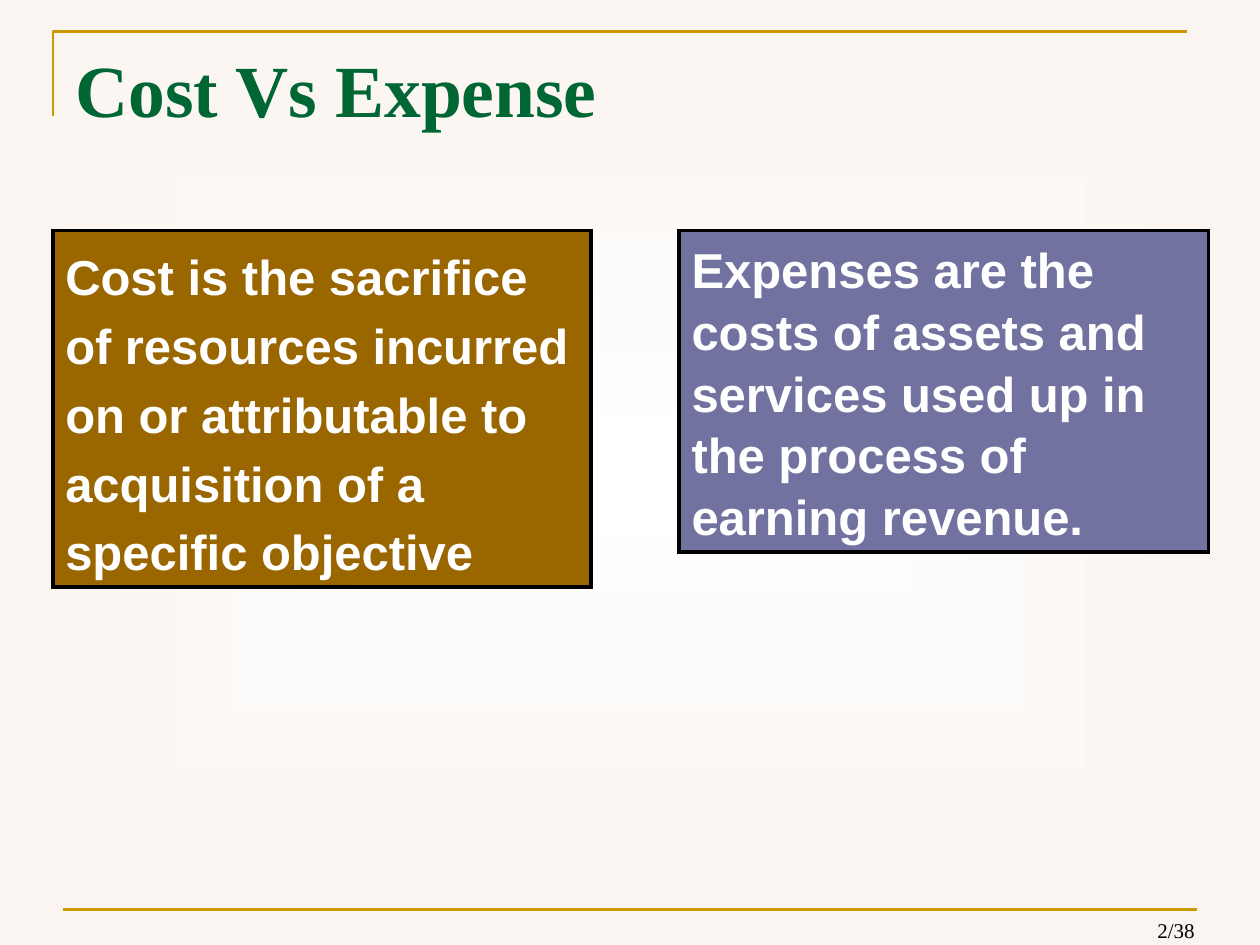
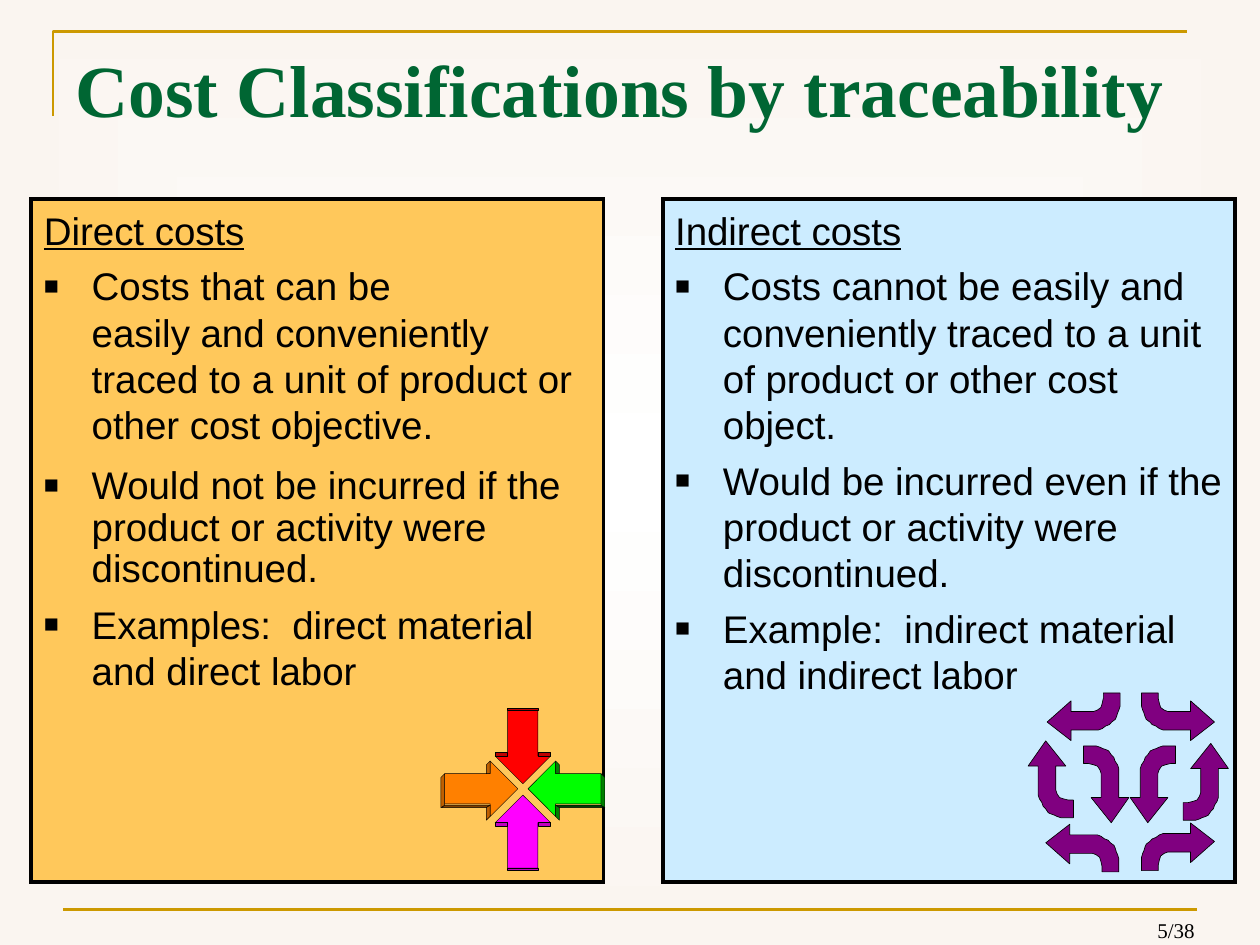
from lxml.etree import SubElement
from pptx import Presentation
from pptx.dml.color import RGBColor
from pptx.enum.shapes import MSO_CONNECTOR, MSO_SHAPE
from pptx.enum.text import MSO_ANCHOR, PP_ALIGN
from pptx.oxml.ns import qn
from pptx.util import Inches, Pt

WHITE = RGBColor(0xFF, 0xFF, 0xFF)
BLACK = RGBColor(0, 0, 0)
CREAM = RGBColor(0xFA, 0xF5, 0xF0)
GOLD = RGBColor(0xCC, 0x99, 0x00)
GREEN = RGBColor(0x00, 0x66, 0x33)
BROWN = RGBColor(0x99, 0x66, 0x00)
SLATE = RGBColor(0x72, 0x72, 0xA0)
AMBER = RGBColor(0xFF, 0xC8, 0x5B)
SKY = RGBColor(0xCC, 0xEC, 0xFF)
PURPLE = RGBColor(0x80, 0x00, 0x80)
PINK = RGBColor(0xFF, 0x00, 0xFF)
PLUM = RGBColor(0xC0, 0x00, 0xC0)
ORANGE = RGBColor(0xFF, 0x80, 0x00)
RUST = RGBColor(0xC0, 0x60, 0x00)
UMBER = RGBColor(0x80, 0x40, 0x00)
LIME = RGBColor(0x00, 0xFF, 0x00)
LEAF = RGBColor(0x00, 0x80, 0x00)
PINE = RGBColor(0x00, 0x40, 0x00)
RED = RGBColor(0xFF, 0x00, 0x00)
BLOOD = RGBColor(0xC0, 0x00, 0x00)


def draw(shapes, points, fill, line, width, close=True):
    dots = [(Inches(x), Inches(y)) for x, y in points]
    pen = shapes.build_freeform(*dots[0], scale=1.0)
    pen.add_line_segments(dots[1:], close=close)
    shape = pen.convert_to_shape()
    shape.shadow.inherit = False
    if fill is None:
        shape.fill.background()
    else:
        shape.fill.solid()
        shape.fill.fore_color.rgb = fill
    shape.line.color.rgb = line
    shape.line.width = Pt(width)


def write(para, text, size, face, color, bold=False, under=False):
    for i, part in enumerate(text.split("\n")):
        if i:
            para.add_line_break()
        run = para.add_run()
        run.text = part
        font = run.font
        font.size, font.name, font.bold, font.underline = Pt(size), face, bold, under
        font.color.rgb = color


deck = Presentation()
deck.slide_width, deck.slide_height = Inches(10), Inches(7.5)

pages = []
for title, page in (("Cost Vs Expense", "2/38"), ("Cost Classifications by traceability", "5/38")):
    slide = deck.slides.add_slide(deck.slide_layouts[6])
    pages.append(slide)
    back = slide.background.fill
    back.gradient()
    for stop, color, place in zip(back.gradient_stops, (WHITE, CREAM), (0, 1)):
        stop.color.rgb = color
        stop.position = place
    grad = slide.element.find(".//" + qn("a:gradFill"))
    grad.remove(grad.find(qn("a:lin")))
    path = SubElement(grad, qn("a:path"), path="rect")
    SubElement(path, qn("a:fillToRect"), l="50000", t="50000", r="50000", b="50000")

    draw(slide.shapes, [(0.42, 0.92), (0.42, 0.25), (9.42, 0.25)], None, GOLD, 1.5, False)
    rule = slide.shapes.add_connector(
        MSO_CONNECTOR.STRAIGHT, Inches(0.5), Inches(7.22), Inches(9.5), Inches(7.22))
    rule.line.color.rgb = GOLD
    rule.line.width = Pt(1.5)
    SubElement(rule.element.spPr, qn("a:effectLst"))

    foot = slide.shapes.add_textbox(Inches(8.15), Inches(7.29), Inches(1.43), Inches(0.24)).text_frame
    foot.word_wrap = True
    foot.vertical_anchor = MSO_ANCHOR.BOTTOM
    foot.paragraphs[0].alignment = PP_ALIGN.RIGHT
    write(foot.paragraphs[0], page, 12, "Times New Roman", BLACK)

    head = slide.shapes.add_textbox(Inches(0.5), Inches(0.3), Inches(9), Inches(0.85)).text_frame
    head.word_wrap = True
    head.margin_top = Inches(0.05)
    write(head.paragraphs[0], title, 42, "Times New Roman", GREEN, bold=True)

terms, trace = pages

cards = [
    (terms, 0.42, 1.83, 4.27, 2.83, BROWN, 2, 0.05, [
        ("Cost is the sacrifice of resources incurred on or attributable to "
         "acquisition of a specific objective", 1.17, 0)]),
    (terms, 5.39, 1.83, 4.2, 2.55, SLATE, 2, 0.05, [
        ("Expenses are the costs of assets and services used up in "
         "the process of earning revenue.", 1.05, 0)]),
    (trace, 0.25, 1.58, 4.54, 5.42, AMBER, 2.25, 0.06, [
        ("Direct costs", 1.0, 0),
        ("Costs that can be\neasily and conveniently traced to a unit of product "
         "or other cost objective.", 1.0, 5.5),
        ("Would not be incurred if the product or activity were discontinued.", 0.9, 11),
        ("Examples:  direct material and direct labor", 1.0, 5.5)]),
    (trace, 5.26, 1.58, 4.54, 5.42, SKY, 2.25, 0.06, [
        ("Indirect costs", 1.0, 0),
        ("Costs cannot be easily and conveniently traced to a unit of product "
         "or other cost object.", 1.0, 5.5),
        ("Would be incurred even if the product or activity were discontinued.", 1.0, 5.5),
        ("Example:  indirect material and indirect labor", 1.0, 5.5)]),
]
for slide, left, top, wide, high, fill, width, inset, lines in cards:
    card = slide.shapes.add_shape(
        MSO_SHAPE.RECTANGLE, Inches(left), Inches(top), Inches(wide), Inches(high))
    card.shadow.inherit = False
    card.fill.solid()
    card.fill.fore_color.rgb = fill
    card.line.color.rgb = BLACK
    card.line.width = Pt(width)
    SubElement(card.element.spPr.find(qn("a:ln")), qn("a:miter"), lim="800000")
    frame = card.text_frame
    frame.word_wrap = True
    frame.vertical_anchor = MSO_ANCHOR.TOP
    frame.margin_top = Inches(inset)
    frame.margin_right = Inches(0.05)
    for i, (text, pitch, gap) in enumerate(lines):
        para = frame.add_paragraph() if i else frame.paragraphs[0]
        para.alignment = PP_ALIGN.LEFT
        para.line_spacing = pitch
        if i:
            para.space_before = Pt(gap)
            props = para._p.get_or_add_pPr()
            props.set("marL", str(Inches(0.38)))
            props.set("indent", str(-Inches(0.38)))
            tint = SubElement(props, qn("a:buClr"))
            SubElement(tint, qn("a:srgbClr"), val=str(BLACK))
            SubElement(props, qn("a:buSzPct"), val="65000")
            SubElement(props, qn("a:buFont"), typeface="Arial")
            SubElement(props, qn("a:buChar"), char="■")
        if slide is terms:
            write(para, text, 28, "Arial", WHITE, bold=True)
        else:
            write(para, text, 22, "Arial", BLACK, under=i == 0)

block = [(0.62, 0.12), (0.62, -0.12), (0.26, -0.12), (0.26, -0.22),
         (0.04, 0), (0.26, 0.22), (0.26, 0.12)]
flat = [
    [(0.62, -0.12), (0.62, 0.12), (0.64, 0.12), (0.64, -0.12)],
    [(0.26, -0.22), (0.26, -0.12), (0.29, -0.12), (0.29, -0.22)],
    [(0.26, 0.12), (0.26, 0.22), (0.29, 0.22), (0.29, 0.12)],
]
deep = [
    [(0.29, 0.15), (0.26, 0.13), (0.62, 0.13), (0.65, 0.15)],
    [(0.29, 0.15), (0.26, 0.13), (0.26, 0.22), (0.29, 0.25)],
    [(0.65, -0.09), (0.62, -0.12), (0.62, 0.13), (0.65, 0.15)],
    [(0.29, -0.12), (0.26, -0.12), (0.26, -0.22), (0.29, -0.19)],
]
meet = trace.shapes.add_group_shape().shapes
for mid, sign, tall, fill, tints in (
    (6.27, 1, True, PINK, [PLUM] * 3),
    (6.26, -1, False, ORANGE, [UMBER, RUST, RUST, RUST]),
    (6.26, 1, False, LIME, [PINE, LEAF, LEAF, LEAF]),
    (6.26, -1, True, RED, [BLOOD] * 3),
):
    for face, tint in zip([block] + (flat if tall else deep), [fill] + tints):
        if tall:
            points = [(4.15 + side, mid + sign * out) for out, side in face]
        else:
            points = [(4.15 + sign * out, mid + side) for out, side in face]
        draw(meet, points, tint, BLACK, 0.25)

bend = [(0.36, 0.41), (0.22, 0.61), (0.06, 0.41), (0.14, 0.41), (0.14, 0.22), (0.13, 0.19),
        (0.11, 0.16), (0.08, 0.15), (0.04, 0.14), (0, 0.14), (0, 0), (0.07, 0), (0.1, 0),
        (0.13, 0.01), (0.15, 0.02), (0.18, 0.03), (0.2, 0.04), (0.22, 0.07), (0.24, 0.09),
        (0.25, 0.12), (0.27, 0.15), (0.28, 0.18), (0.28, 0.22), (0.28, 0.41)]
part = trace.shapes.add_group_shape().shapes
for x, y, across, down, turn in (
    (8.6, 5.92, 1, 1, False), (9.33, 5.92, -1, 1, False),
    (8.89, 5.5, -1, 1, True), (9.06, 5.5, 1, 1, True),
    (9.39, 6.51, 1, -1, False), (8.52, 6.49, -1, -1, False),
    (8.88, 6.92, -1, -1, True), (9.06, 6.91, 1, -1, True),
):
    if turn:
        points = [(x + across * v * 0.95, y + down * u * 1.05) for u, v in bend]
    else:
        points = [(x + across * u, y + down * v) for u, v in bend]
    draw(part, points, PURPLE, BLACK, 0.37)

deck.save("out.pptx")
